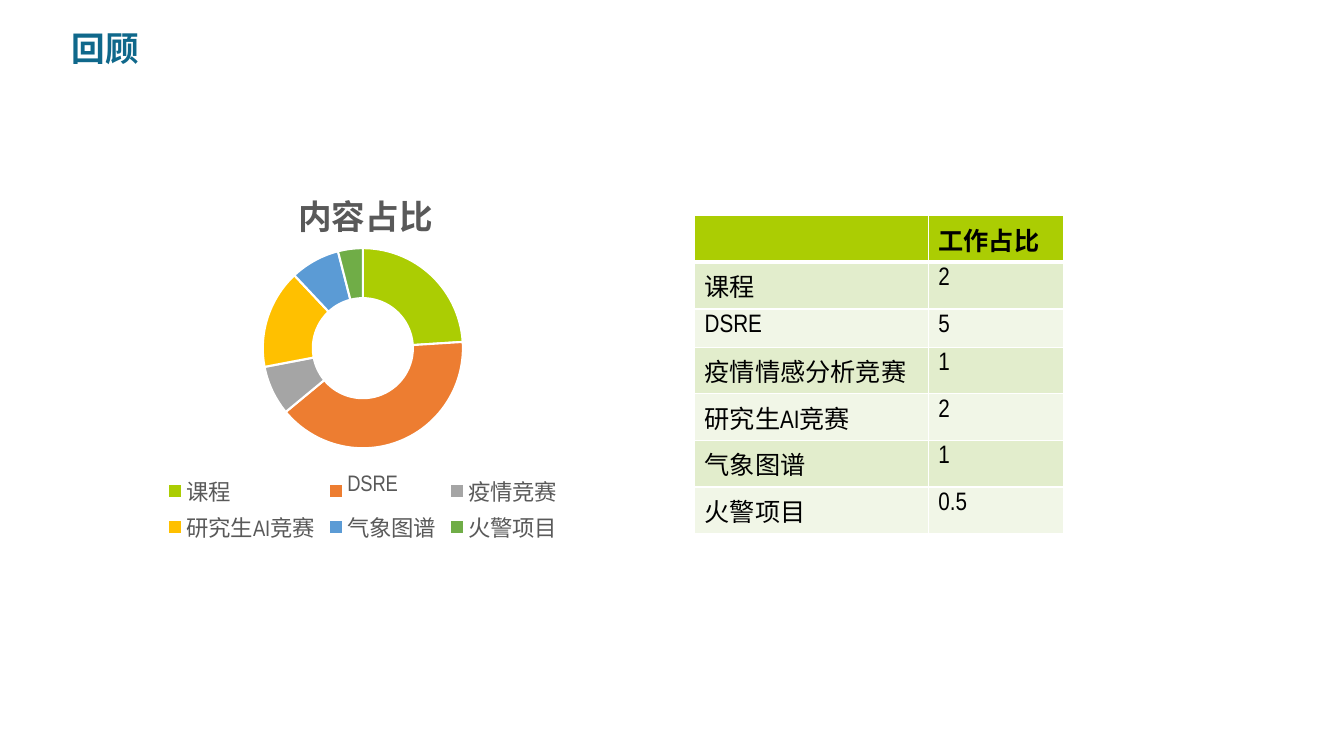
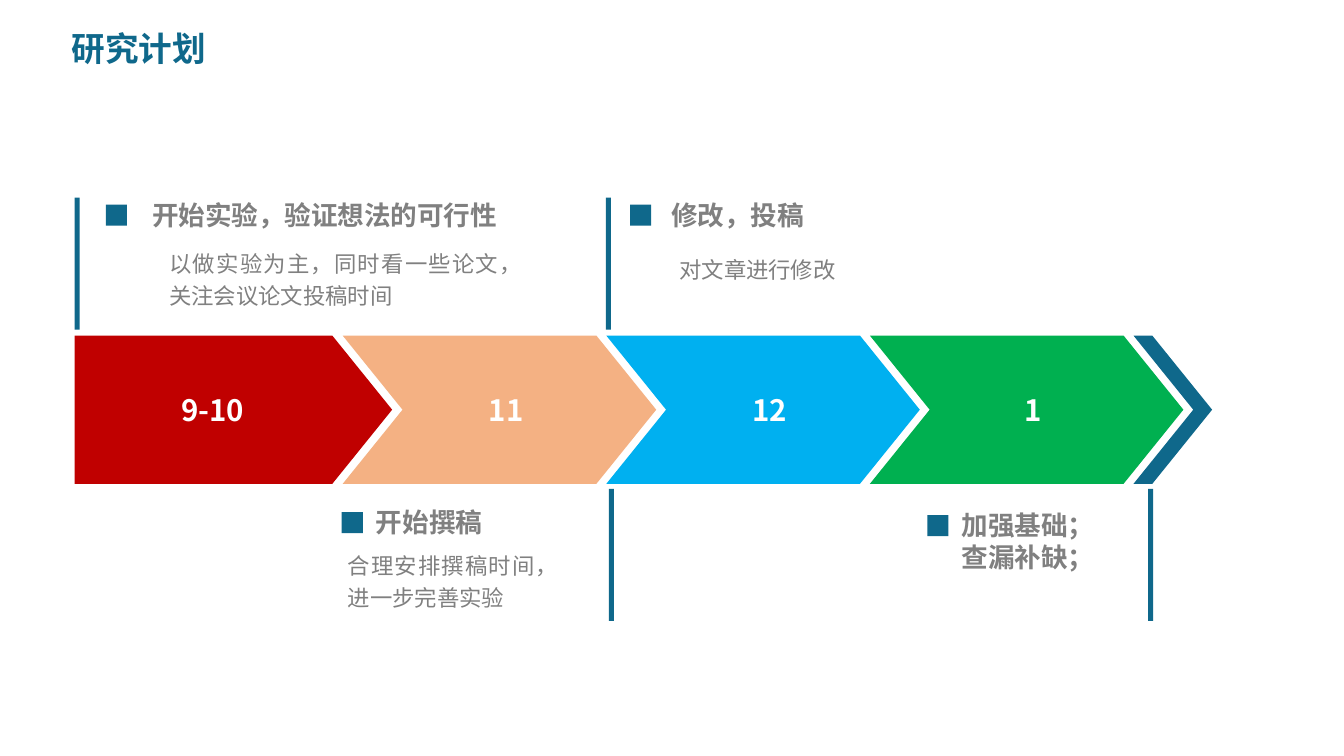
import lxml.etree
import pptx
import pptx.chart.data
import pptx.dml.color
import pptx.enum.chart
import pptx.enum.shapes
import pptx.enum.text
import pptx.oxml.ns
import pptx.util

# Shared style; all lengths are columns and rows of a tenth of an inch
CELL = 0.1
SLIDE_COLUMNS, SLIDE_ROWS = 133.33, 75
TEAL, LIME, GREY, DARK_GREY = "0F688B", "ABCD03", "808080", "595959"
WHITE, BLACK = "FFFFFF", "000000"
CJK_FONT, LATIN_FONT = "Noto Sans CJK SC", "Arial Narrow"
ALIGN = pptx.enum.text.PP_ALIGN
SHAPE = pptx.enum.shapes.MSO_SHAPE
qn = pptx.oxml.ns.qn

SHARES = [
    ("课程", 24, LIME),
    ("DSRE", 40, "ED7D31"),
    ("疫情竞赛", 8, "A5A5A5"),
    ("研究生AI竞赛", 16, "FFC000"),
    ("气象图谱", 8, "5B9BD5"),
    ("火警项目", 4, "70AD47"),
]
WORKLOAD = [
    ("", "工作占比"),
    ("课程", "2"),
    ("DSRE", "5"),
    ("疫情情感分析竞赛", "1"),
    ("研究生AI竞赛", "2"),
    ("气象图谱", "1"),
    ("火警项目", "0.5"),
]
MONTHS = [("9-10", "C00000"), ("11", "F4B183"), ("12", "00B0F0"), ("1", "00B050")]

# Callout: box, bar position, heading indent, heading lines, body box in the callout, body
CALLOUTS = [
    ((10.5, 19, 42, 13), (7.4, 19.6), 3.3, ["开始实验，验证想法的可行性"],
     (5, 4.6, 35.4, 7.5), "以做实验为主，同时看一些论文，关注会议论文投稿时间"),
    ((62.5, 19, 32, 10), (60.1, 19.6), 2.8, ["修改，投稿"],
     (3.6, 5.2, 27.9, 4.3), "对文章进行修改"),
    ((33.9, 49.5, 23, 12), (60.4, 48.5), 2.1, ["开始撰稿"],
     (-0.7, 4, 23.5, 7.5), "合理安排撰稿时间，进一步完善实验"),
    ((92, 49.8, 21.8, 8), (113.9, 48.5), 2.1, ["加强基础；", "查漏补缺；"], None, None),
]


def cells(count):
    return pptx.util.Inches(count * CELL)


def place(box):
    return [cells(count) for count in box]


def color(hex_text):
    return pptx.dml.color.RGBColor.from_string(hex_text)


def paint(target, hex_text):
    target.fill.solid()
    target.fill.fore_color.rgb = color(hex_text)


def style_font(font, size, hex_text, bold=False, name=CJK_FONT):
    font.name, font.size, font.bold = name, pptx.util.Pt(size), bold
    font.color.rgb = color(hex_text)


def add_east_asian_font(root):
    for latin in list(root.iter(qn("a:latin"))):
        east_asian = lxml.etree.Element(qn("a:ea"))
        east_asian.set("typeface", CJK_FONT)
        latin.addnext(east_asian)


def add_block(page, kind, box, hex_text):
    block = page.shapes.add_shape(kind, *place(box))
    block.shadow.inherit = False
    paint(block, hex_text)
    block.line.fill.background()
    return block


def add_text(page, box, lines, size, hex_text, bold=False, align=ALIGN.LEFT, spacing=1.0):
    frame = page.shapes.add_textbox(*place(box)).text_frame
    frame.word_wrap = True
    frame.margin_left = frame.margin_right = cells(1.3)
    frame.margin_top = frame.margin_bottom = cells(0.7)
    frame.text = "\n".join(lines)
    for para in frame.paragraphs:
        para.alignment, para.line_spacing = align, spacing
        style_font(para.font, size, hex_text, bold)


def add_page(deck, title):
    page = deck.slides.add_slide(deck.slide_layouts[5])
    heading = page.shapes.title
    heading.left, heading.top, heading.width, heading.height = place((6.1, 2.3, 29.9, 5.5))
    frame = heading.text_frame
    frame.text = title
    frame.auto_size = pptx.enum.text.MSO_AUTO_SIZE.NONE
    frame.vertical_anchor = pptx.enum.text.MSO_ANCHOR.MIDDLE
    para = frame.paragraphs[0]
    para.alignment, para.line_spacing = ALIGN.JUSTIFY, 0.9
    style_font(para.font, 24, TEAL, True)
    return page


# Chart region
def set_layout(parent, index, **values):
    for old in parent.findall(qn("c:layout")):
        parent.remove(old)
    layout = lxml.etree.Element(qn("c:layout"))
    manual = lxml.etree.SubElement(layout, qn("c:manualLayout"))
    for tag, value in values.items():
        lxml.etree.SubElement(manual, qn(f"c:{tag}")).set("val", str(value))
    parent.insert(index, layout)


def add_share_chart(page, box):
    data = pptx.chart.data.CategoryChartData()
    data.categories = [name for name, _, _ in SHARES]
    data.add_series("Series 1", [share for _, share, _ in SHARES])
    chart = page.shapes.add_chart(
        pptx.enum.chart.XL_CHART_TYPE.DOUGHNUT, *place(box), data).chart
    style_font(chart.font, 10, BLACK, name=LATIN_FONT)

    chart.has_title = True
    chart.chart_title.include_in_layout = False
    frame = chart.chart_title.text_frame
    frame.text = "内容占比"
    style_font(frame.paragraphs[0].font, 24, DARK_GREY, True, LATIN_FONT)

    chart.has_legend = True
    chart.legend.position = pptx.enum.chart.XL_LEGEND_POSITION.BOTTOM
    chart.legend.include_in_layout = False
    style_font(chart.legend.font, 16, DARK_GREY, name=LATIN_FONT)

    plot = chart.plots[0]
    plot.vary_by_categories = True
    for index, (_, _, hex_text) in enumerate(SHARES):
        slice_format = plot.series[0].points[index].format
        paint(slice_format, hex_text)
        slice_format.line.color.rgb = color(WHITE)
        slice_format.line.width = pptx.util.Pt(1.5)

    root = chart.element
    next(root.iter(qn("c:holeSize"))).set("val", "75")
    set_layout(next(root.iter(qn("c:title"))), 1,
               xMode="edge", yMode="edge", x=0.38, y=0.07)
    set_layout(next(root.iter(qn("c:plotArea"))), 0, layoutTarget="inner",
               xMode="edge", yMode="edge", x=0.33, y=0.24, w=0.34, h=0.51)
    add_east_asian_font(root)


# Table region
def add_borders(cell, bottom_width):
    properties = cell._tc.get_or_add_tcPr()
    for side, width in (("L", 1), ("R", 1), ("T", 1), ("B", bottom_width)):
        line = lxml.etree.SubElement(properties, qn(f"a:ln{side}"))
        line.set("w", str(pptx.util.Pt(width)))
        fill = lxml.etree.SubElement(line, qn("a:solidFill"))
        lxml.etree.SubElement(fill, qn("a:srgbClr")).set("val", WHITE)


def add_workload_table(page, box):
    table = page.shapes.add_table(len(WORKLOAD), 2, *place(box)).table
    for column, width in zip(table.columns, (23.2, 13.4)):
        column.width = cells(width)
    for row_index, texts in enumerate(WORKLOAD):
        is_header = row_index == 0
        table.rows[row_index].height = cells(3.8 if texts[0] == "DSRE" else 4)
        band = LIME if is_header else ("F1F6E7", "E2EDCC")[row_index % 2]
        for column_index, text in enumerate(texts):
            cell = table.cell(row_index, column_index)
            add_borders(cell, 3 if is_header else 1)
            paint(cell, band)
            cell.text = text
            style_font(cell.text_frame.paragraphs[0].font, 18, BLACK, is_header,
                       CJK_FONT if is_header else LATIN_FONT)


# Timeline region
def add_timeline(page, box):
    left, top, _, height = box
    point, first_step, step = 5.93, 26.6, 26.15
    for index, (month, hex_text) in enumerate(MONTHS + [("", TEAL)]):
        is_first = index == 0
        start = left if is_first else left + first_step + (index - 1) * step
        width = 31.5 if is_first else 31.1 if month else 7.8
        arrow = add_block(page, SHAPE.PENTAGON if is_first else SHAPE.CHEVRON,
                          (start, top, width, height), hex_text)
        arrow.adjustments[0] = point / min(width, height)
        if month:
            label_left = start + (5.3 if is_first else 7.8)
            add_text(page, (label_left, top + height / 3, 16.8, 4.9), [month],
                     21, WHITE, True, ALIGN.CENTER)


def add_callout(page, box, bar, indent, heading, body_box, body):
    left, top, width, height = box
    add_block(page, SHAPE.RECTANGLE, (*bar, 0.5, 13.1), TEAL)
    add_block(page, SHAPE.RECTANGLE, (left, top + 1.3, 2.1, 2.1), TEAL)
    add_text(page, (left + indent, top, width - indent, 1.3 + 3.2 * len(heading)),
             heading, 19, GREY, True)
    if body:
        dx, dy, body_width, body_height = body_box
        add_text(page, (left + dx, top + dy, body_width, body_height), [body],
                 16, GREY, align=ALIGN.JUSTIFY, spacing=1.2)


def build_review(deck):
    page = add_page(deck, "回顾")
    add_share_chart(page, (6.8, 15.2, 58.4, 39.1))
    add_workload_table(page, (68.9, 21.4, 36.6, 28.2))
    add_east_asian_font(page.element)


def build_plan(deck):
    page = add_page(deck, "研究计划")
    add_timeline(page, (7.4, 33.3, 112.8, 14.7))
    for callout in CALLOUTS:
        add_callout(page, *callout)
    add_east_asian_font(page.element)


def main():
    deck = pptx.Presentation()
    deck.slide_width, deck.slide_height = cells(SLIDE_COLUMNS), cells(SLIDE_ROWS)
    build_review(deck)
    build_plan(deck)
    deck.save("out.pptx")


if __name__ == "__main__":
    main()
